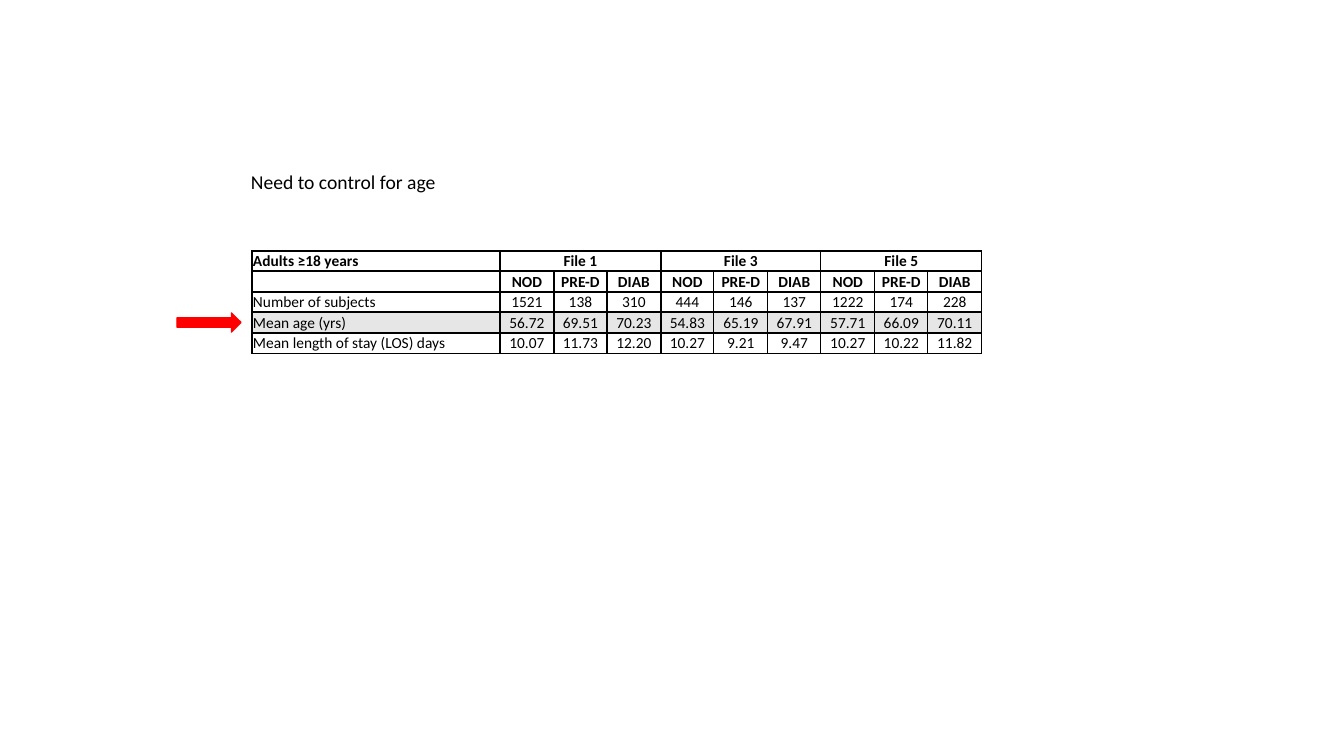
import pptx
import pptx.util
import pptx.dml.color
import pptx.enum.shapes
import pptx.enum.text
import pptx.oxml
import pptx.oxml.ns

EMU_PER_PIXEL = 914400 / 100.8
ALIGN = pptx.enum.text.PP_ALIGN
ANCHOR = pptx.enum.text.MSO_ANCHOR


def px(pixels):
    return pptx.util.Emu(round(pixels * EMU_PER_PIXEL))


def color(hex_string):
    return pptx.dml.color.RGBColor.from_string(hex_string)


def split(total, count):
    edges = [round(total * step / count) for step in range(count + 1)]
    return [end - start for start, end in zip(edges, edges[1:])]


def write(frame, text, font="Calibri", size=11, ink="000000", bold=False, align=ALIGN.LEFT):
    paragraph = frame.paragraphs[0]
    paragraph.alignment = align
    if not text:
        end = pptx.oxml.ns.qn("a:endParaRPr")
        paragraph._p.get_or_add_pPr()
        mark = paragraph._p.find(end)
        if mark is None:
            mark = paragraph._p.makeelement(end, {})
            paragraph._p.append(mark)
        mark.set("sz", str(size * 100))
        return
    run = paragraph.add_run()
    run.text = text
    run.font.name = font
    run.font.size = pptx.util.Pt(size)
    run.font.bold = bold
    run.font.color.rgb = color(ink)


class Sheet:
    ink = "000000"
    highlight = "E7E6E6"
    accent = "FF0000"
    line_width = pptx.util.Pt(1)

    def __init__(self, slide):
        self.slide = slide

    def label(self, text, left, top, width, height, **style):
        frame = self.slide.shapes.add_textbox(px(left), px(top), px(width), px(height)).text_frame
        frame.word_wrap = False
        frame.auto_size = pptx.enum.text.MSO_AUTO_SIZE.SHAPE_TO_FIT_TEXT
        write(frame, text, ink=self.ink, **style)

    def arrow(self, left, top, width, height):
        pointer = self.slide.shapes.add_shape(
            pptx.enum.shapes.MSO_SHAPE.RIGHT_ARROW, px(left), px(top), px(width), px(height))
        pointer.shadow.inherit = False
        pointer.fill.solid()
        pointer.fill.fore_color.rgb = color(self.accent)
        pointer.line.color.rgb = color(self.accent)
        pointer.line.width = self.line_width

    def border(self, cell):
        properties = cell._tc.get_or_add_tcPr()
        for side in ("lnL", "lnR", "lnT", "lnB"):
            properties.append(pptx.oxml.parse_xml(
                f'<a:{side} {pptx.oxml.ns.nsdecls("a")} w="{self.line_width}">'
                f'<a:solidFill><a:srgbClr val="{self.ink}"/></a:solidFill></a:{side}>'))

    def table(self, rows, left, top, widths, heights, header_rows, marked_row, group_size):
        grid = self.slide.shapes.add_table(
            len(rows), len(widths), px(left), px(top), px(sum(widths)), px(sum(heights))).table
        grid.first_row = grid.horz_banding = False
        for column, width in zip(grid.columns, widths):
            column.width = px(width)
        for row, height in zip(grid.rows, heights):
            row.height = px(height)
        for r, values in enumerate(rows):
            for c, value in enumerate(values):
                cell = grid.cell(r, c)
                cell.margin_left = cell.margin_right = cell.margin_top = px(1)
                cell.margin_bottom = 0
                cell.vertical_anchor = ANCHOR.BOTTOM
                self.border(cell)
                if r == marked_row:
                    cell.fill.solid()
                    cell.fill.fore_color.rgb = color(self.highlight)
                else:
                    cell.fill.background()
                write(cell.text_frame, value, ink=self.ink, bold=r < header_rows,
                      align=ALIGN.CENTER if c else ALIGN.LEFT)
        for first in range(1, len(widths), group_size):
            grid.cell(0, first).merge(grid.cell(0, first + group_size - 1))


files = ["File 1", "File 3", "File 5"]
groups = ["NOD", "PRE-D", "DIAB"]
results = [
    ["Adults ≥18 years"] + [text for file in files for text in (file, "", "")],
    [""] + groups * len(files),
    ["Number of subjects", "1521", "138", "310", "444", "146", "137", "1222", "174", "228"],
    ["Mean age (yrs)", "56.72", "69.51", "70.23", "54.83", "65.19", "67.91",
     "57.71", "66.09", "70.11"],
    ["Mean length of stay (LOS) days", "10.07", "11.73", "12.20", "10.27", "9.21", "9.47",
     "10.27", "10.22", "11.82"],
]

deck = pptx.Presentation()
deck.slide_width, deck.slide_height = px(1344), px(756)
sheet = Sheet(deck.slides.add_slide(deck.slide_layouts[6]))
sheet.table(results, 252, 251, [248] + split(482, 9), split(102, 5),
            header_rows=2, marked_row=3, group_size=len(groups))
sheet.label("Need to control for age", 241, 165, 207, 34, size=14)
sheet.arrow(177, 313, 64, 19)
deck.save("out.pptx")
